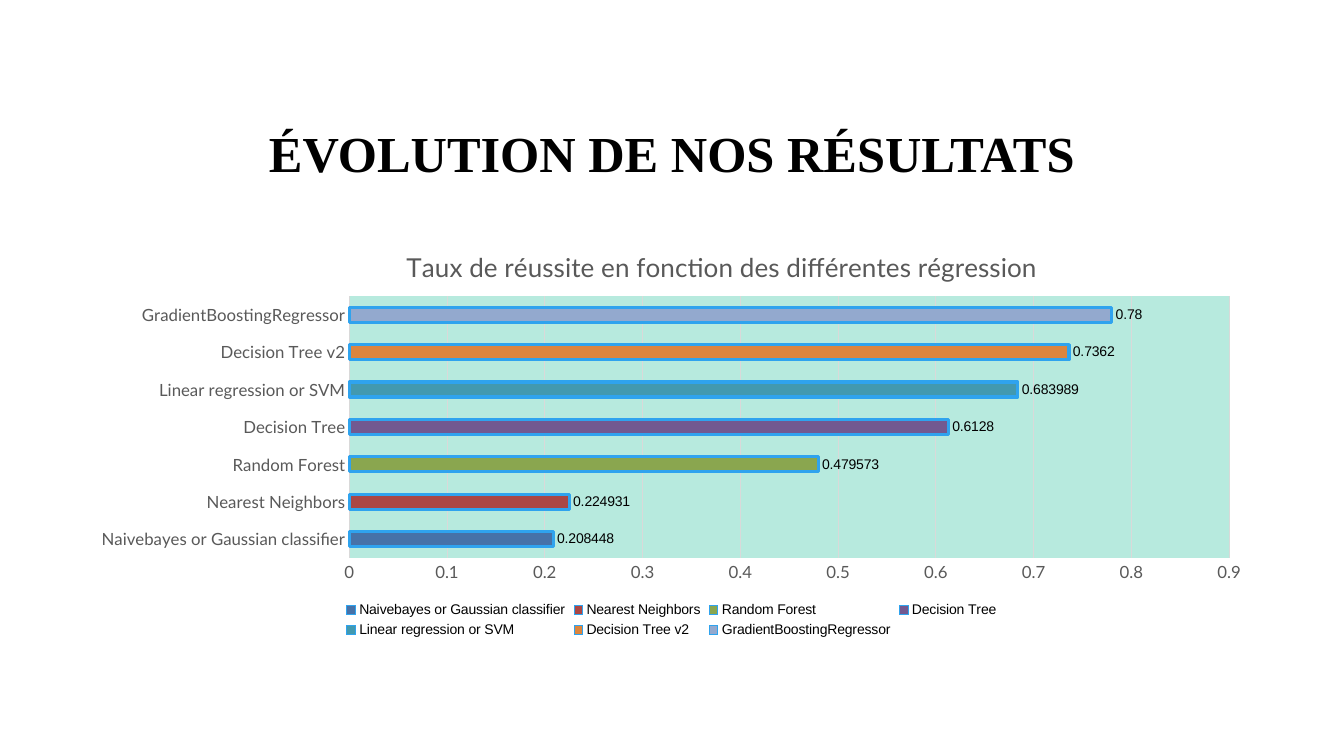
"""Builds a slide with a bar chart of the success rate of each regression model."""
from lxml import etree
from pptx import Presentation
from pptx.chart.data import CategoryChartData
from pptx.dml.color import RGBColor
from pptx.enum.chart import XL_CHART_TYPE, XL_LABEL_POSITION, XL_LEGEND_POSITION, XL_TICK_MARK
from pptx.enum.text import MSO_ANCHOR, PP_ALIGN
from pptx.oxml import parse_xml
from pptx.oxml.ns import nsdecls, qn
from pptx.util import Pt

BAR = XL_CHART_TYPE.BAR_CLUSTERED
OUTSIDE = XL_LABEL_POSITION.OUTSIDE_END
BOTTOM = XL_LEGEND_POSITION.BOTTOM
NO_TICK = XL_TICK_MARK.NONE
MIDDLE = MSO_ANCHOR.MIDDLE
CENTER = PP_ALIGN.CENTER

HEADING = "ÉVOLUTION DE NOS RÉSULTATS"
CHART_TITLE = "Taux de réussite en fonction des différentes régression"
MODELS = [
    ("Naivebayes or Gaussian classifier", 0.208448, "4672A8"),
    ("Nearest Neighbors", 0.224931, "AB4744"),
    ("Random Forest", 0.479573, "8AA64F"),
    ("Decision Tree", 0.6128, "725990"),
    ("Linear regression or SVM", 0.683989, "4299B0"),
    ("Decision Tree v2", 0.7362, "DC853E"),
    ("GradientBoostingRegressor", 0.78, "93A9CE"),
]
HEADING_BOX = (72, 48.5, 816, 126)
CHART_BOX = (56, 162.5, 847.5, 296)
PLOT_BOX = {"x": 193.5, "y": 49, "w": 628.5, "h": 187}
TITLE_SPOT = {"x": 231, "y": 11.5}
GREY, GRID, MINT, OUTLINE, BLACK = "595959", "D9D9D9", "B7EADE", "2FA3EE", "000000"


def rgb(color):
    """Return the colour of a hex string."""
    return RGBColor.from_string(color)


def style_font(font, name, size, color, bold=False):
    """Set the face, size, colour and weight of a font."""
    font.name, font.size, font.bold = name, Pt(size), bold
    font.color.rgb = rgb(color)


def style_line(line, color, width):
    """Set the colour and width of a line."""
    line.color.rgb = rgb(color)
    line.width = Pt(width)


def place(part, index, spot, inner=False):
    """Lay out a chart part at a spot in points from the chart's corner."""
    for old in part.findall(qn("c:layout")):
        part.remove(old)
    layout = parse_xml(f"<c:layout {nsdecls('c')}><c:manualLayout/></c:layout>")
    settings = {"layoutTarget": "inner"} if inner else {}
    settings.update({"xMode": "edge", "yMode": "edge"})
    width, height = CHART_BOX[2:]
    for tag, points in spot.items():
        settings[tag] = points / (width if tag in "xw" else height)
    for tag, value in settings.items():
        etree.SubElement(layout[0], qn(f"c:{tag}")).set("val", str(value))
    part.insert(index, layout)


def add_heading(slide):
    """Add the slide heading."""
    frame = slide.shapes.add_textbox(*map(Pt, HEADING_BOX)).text_frame
    frame.word_wrap = True
    frame.vertical_anchor = MIDDLE
    paragraph = frame.paragraphs[0]
    paragraph.alignment = CENTER
    paragraph.line_spacing = 0.9
    run = paragraph.add_run()
    run.text = HEADING
    style_font(run.font, "Times New Roman", 36, BLACK, True)


def add_results(slide):
    """Add the bar chart of the models."""
    data = CategoryChartData()
    data.categories = [model for model, rate, color in MODELS]
    data.add_series("Series 1", [rate for model, rate, color in MODELS])
    chart = slide.shapes.add_chart(BAR, *map(Pt, CHART_BOX), data).chart
    style_font(chart.font, "Arial", 10, BLACK)

    chart.has_title = True
    run = chart.chart_title.text_frame.paragraphs[0].add_run()
    run.text = CHART_TITLE
    style_font(run.font, "Lato", 18.6, GREY)
    chart.chart_title.include_in_layout = False
    place(chart.chart_title._element, 1, TITLE_SPOT)

    chart.has_legend = True
    chart.legend.position = BOTTOM
    chart.legend.include_in_layout = False

    for axis in (chart.category_axis, chart.value_axis):
        axis.major_tick_mark = axis.minor_tick_mark = NO_TICK
        style_font(axis.tick_labels.font, "Lato", 12, GREY)
    style_line(chart.category_axis.format.line, GRID, 0.74)
    rates = chart.value_axis
    rates.minimum_scale, rates.maximum_scale, rates.major_unit = 0, 0.9, 0.1
    rates.format.line.fill.background()
    style_line(rates.major_gridlines.format.line, GRID, 0.74)

    plot = chart.plots[0]
    plot.gap_width = 150
    plot.vary_by_categories = True
    plot.has_data_labels = True
    plot.data_labels.show_value = True
    plot.data_labels.position = OUTSIDE
    style_font(plot.data_labels.font, "Arial", 10, BLACK)
    bars = plot.series[0]
    style_line(bars.format.line, OUTLINE, 2.24)
    for index, (model, rate, color) in enumerate(MODELS):
        bar = bars.points[index].format
        bar.fill.solid()
        bar.fill.fore_color.rgb = rgb(color)
        style_line(bar.line, OUTLINE, 2.24)

    area = chart._chartSpace.chart.plotArea
    place(area, 0, PLOT_BOX, True)
    area.append(parse_xml(
        f"<c:spPr {nsdecls('c', 'a')}><a:solidFill><a:srgbClr val='{MINT}'/>"
        "</a:solidFill><a:ln><a:noFill/></a:ln></c:spPr>"))


deck = Presentation()
deck.slide_width, deck.slide_height = Pt(960), Pt(540)
results_slide = deck.slides.add_slide(deck.slide_layouts[6])
add_heading(results_slide)
add_results(results_slide)
deck.save("out.pptx")
